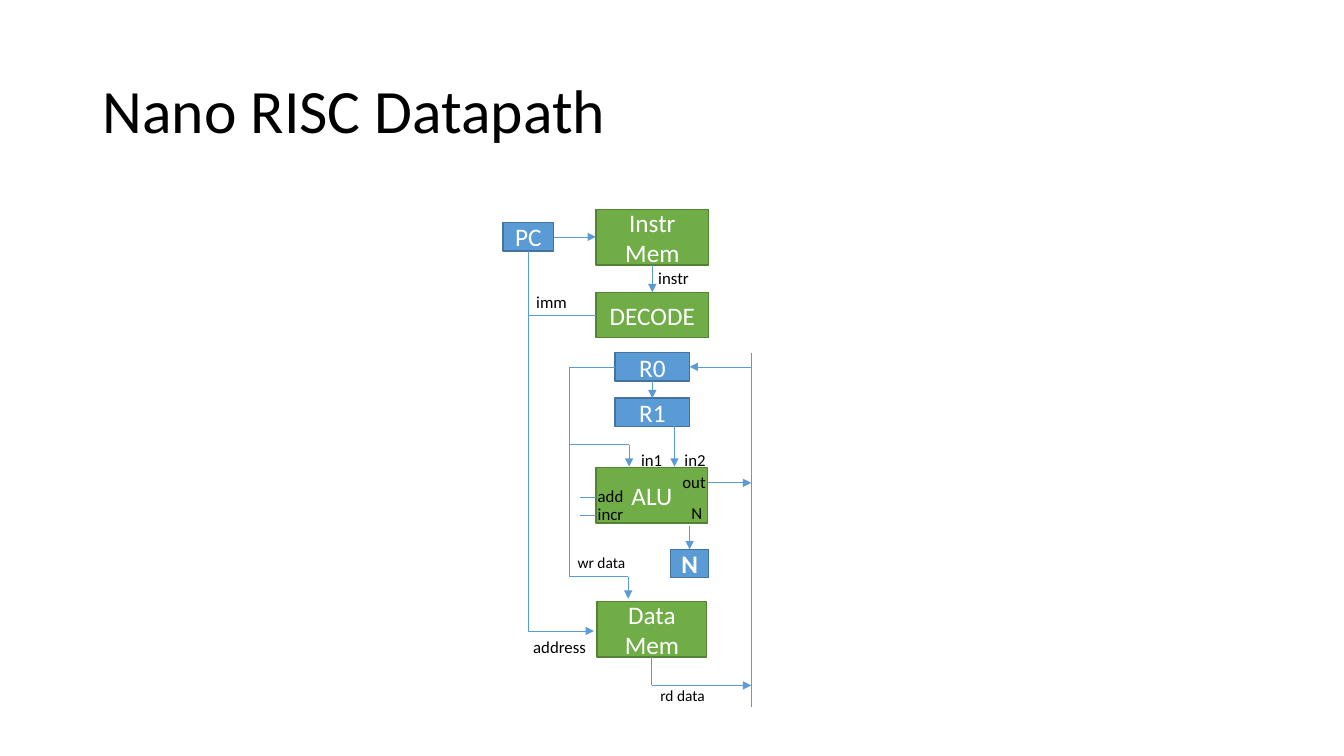
from dataclasses import dataclass
from itertools import pairwise

from lxml import etree
from pptx import Presentation
from pptx.dml.color import RGBColor
from pptx.enum.shapes import MSO_CONNECTOR, MSO_SHAPE
from pptx.enum.text import MSO_ANCHOR, MSO_AUTO_SIZE, PP_ALIGN
from pptx.oxml.ns import qn
from pptx.util import Inches, Pt

FONT = "Calibri"
BLACK, WHITE = "000000", "FFFFFF"
BLUE, BLUE_EDGE = "5B9BD5", "43739E"
GREEN, GREEN_EDGE = "70AD47", "548235"
REGISTER = (BLUE, BLUE_EDGE)
UNIT = (GREEN, GREEN_EDGE)


@dataclass
class Box:
    """A rectangle in inches."""
    left: float
    top: float
    width: float
    height: float

    @property
    def right(self):
        return self.left + self.width

    @property
    def bottom(self):
        return self.top + self.height

    @property
    def center(self):
        return self.left + self.width / 2

    @property
    def middle(self):
        return self.top + self.height / 2

    def inner(self, x, y, width, height):
        """A box placed relative to this one's top left corner."""
        return Box(self.left + x, self.top + y, width, height)

    def lengths(self):
        return [Inches(v) for v in (self.left, self.top, self.width, self.height)]


def color(value):
    return RGBColor.from_string(value)


def add_run(paragraph, text, size, text_color, bold=False):
    run = paragraph.add_run()
    run.text = text
    run.font.name = FONT
    run.font.size = Pt(size)
    run.font.bold = bold
    run.font.color.rgb = color(text_color)


def add_block(slide, box, text, colors, bold=False):
    fill, edge = colors
    shape = slide.shapes.add_shape(MSO_SHAPE.RECTANGLE, *box.lengths())
    shape.shadow.inherit = False
    shape.fill.solid()
    shape.fill.fore_color.rgb = color(fill)
    shape.line.color.rgb = color(edge)
    shape.line.width = Pt(1)
    frame = shape.text_frame
    frame.word_wrap = True
    frame.vertical_anchor = MSO_ANCHOR.MIDDLE
    paragraph = frame.paragraphs[0]
    paragraph.alignment = PP_ALIGN.CENTER
    add_run(paragraph, text, 18, WHITE, bold)
    return box


def add_label(slide, box, text, size=12):
    frame = slide.shapes.add_textbox(*box.lengths()).text_frame
    frame.word_wrap = False
    frame.auto_size = MSO_AUTO_SIZE.SHAPE_TO_FIT_TEXT
    add_run(frame.paragraphs[0], text, size, BLACK)


def add_wire(slide, *points, arrow=True):
    """Join the points with straight segments, the last one tipped by an arrow."""
    for start, end in pairwise(points):
        connector = slide.shapes.add_connector(
            MSO_CONNECTOR.STRAIGHT, *[Inches(v) for v in (*start, *end)])
        connector.line.color.rgb = color(BLUE)
        connector.line.width = Pt(0.5)
        properties = connector._element.spPr
        etree.SubElement(properties, qn("a:effectLst"))
        if arrow and end == points[-1]:
            line = properties.find(qn("a:ln"))
            etree.SubElement(line, qn("a:tailEnd"), type="triangle")


def add_title(slide, box, text):
    frame = slide.shapes.add_textbox(*box.lengths()).text_frame
    frame.word_wrap = True
    frame.vertical_anchor = MSO_ANCHOR.MIDDLE
    frame.paragraphs[0].line_spacing = 0.9
    add_run(frame.paragraphs[0], text, 44, BLACK)


def add_fetch(slide, box):
    """Program counter, instruction memory and decoder; returns the counter."""
    counter = add_block(slide, box.inner(0, 0.13, 0.5, 0.28), "PC", REGISTER)
    memory = add_block(slide, box.inner(0.92, 0, 1.12, 0.55), "Instr Mem", UNIT)
    decoder = add_block(slide, box.inner(0.92, 0.82, 1.12, 0.45), "DECODE", UNIT)
    add_wire(slide, (counter.right, counter.middle), (memory.left, counter.middle))
    add_wire(slide, (memory.center, memory.bottom), (memory.center, decoder.top))
    add_wire(slide, (decoder.left, decoder.middle), (counter.center, decoder.middle),
             arrow=False)
    add_label(slide, box.inner(1.44, 0.53, 0.51, 0.3), "instr")
    add_label(slide, box.inner(0.23, 0.77, 0.51, 0.3), "imm")
    return counter


def add_registers(slide, box, bus):
    """Registers R0 and R1, fed from the bus; returns both."""
    first, second = [add_block(slide, box.inner(0, 0.45 * i, box.width, 0.28),
                               f"R{i}", REGISTER) for i in range(2)]
    add_wire(slide, (first.center, first.bottom), (first.center, second.top))
    add_wire(slide, (bus, first.middle), (first.right, first.middle))
    return first, second


def add_alu(slide, box, source, feed, bus):
    """ALU with its inputs, control lines, output and N flag."""
    add_block(slide, box, "ALU", UNIT)
    input_left, input_right = box.left + 0.33, box.left + 0.78
    feed_level = box.top - 0.23
    add_wire(slide, (feed, feed_level), (input_left, feed_level),
             (input_left, box.top - 0.01))
    add_wire(slide, (input_right, source.bottom), (input_right, box.top - 0.01))
    add_wire(slide, (box.right, box.top + 0.15), (bus, box.top + 0.15))

    flag = add_block(slide, box.inner(0.74, 0.81, 0.38, 0.28), "N", REGISTER, True)
    add_wire(slide, (flag.center, box.bottom + 0.03), (flag.center, flag.top))

    for i, control in enumerate(("add", "incr")):
        level = 0.29 + 0.18 * i
        add_wire(slide, (box.left - 0.16, box.top + level),
                 (box.left, box.top + level), arrow=False)
        add_label(slide, box.inner(-0.08, level - 0.16, 0.46, 0.3), control)
    for text, x, y, width in (("in1", 0.35, -0.23, 0.41), ("in2", 0.78, -0.23, 0.41),
                              ("out", 0.76, -0.01, 0.44), ("N", 0.85, 0.3, 0.31)):
        add_label(slide, box.inner(x, y, width, 0.3), text)


def add_data_memory(slide, box, counter, register, feed, bus):
    """Data memory with its address, write and read wires."""
    add_block(slide, box, "Data Mem", UNIT)
    write_level, read_level = box.top - 0.25, box.bottom + 0.28
    write_port = box.left + 0.31
    add_wire(slide, (counter.center, counter.bottom), (counter.center, box.top + 0.29),
             (box.left - 0.03, box.top + 0.29))
    add_wire(slide, (register.left, register.middle), (feed, register.middle),
             (feed, write_level), (write_port, write_level),
             (write_port, box.top - 0.03))
    add_wire(slide, (box.center, box.bottom), (box.center, read_level),
             (bus, read_level))
    add_label(slide, box.inner(-0.73, 0.3, 0.73, 0.3), "address")
    add_label(slide, box.inner(-0.29, -0.53, 0.68, 0.29), "wr data", 11)
    add_label(slide, box.inner(0.53, 0.79, 0.65, 0.29), "rd data", 11)


def add_datapath(slide, box):
    bus, feed = box.right, box.left + 0.66
    add_wire(slide, (bus, box.top + 1.42), (bus, box.bottom), arrow=False)
    counter = add_fetch(slide, box.inner(0, 0, 2.04, 1.27))
    first, second = add_registers(slide, box.inner(1.11, 1.42, 0.74, 0.73), bus)
    add_alu(slide, box.inner(0.92, 2.56, 1.11, 0.55), second, feed, bus)
    add_data_memory(slide, box.inner(0.93, 3.89, 1.09, 0.55),
                    counter, first, feed, bus)


def main():
    presentation = Presentation()
    presentation.slide_width = Inches(13.33)
    presentation.slide_height = Inches(7.5)
    slide = presentation.slides.add_slide(presentation.slide_layouts[6])
    add_title(slide, Box(0.92, 0.4, 11.5, 1.45), "Nano RISC Datapath")
    add_datapath(slide, Box(4.99, 2.08, 2.46, 4.93))
    presentation.save("out.pptx")


if __name__ == "__main__":
    main()
